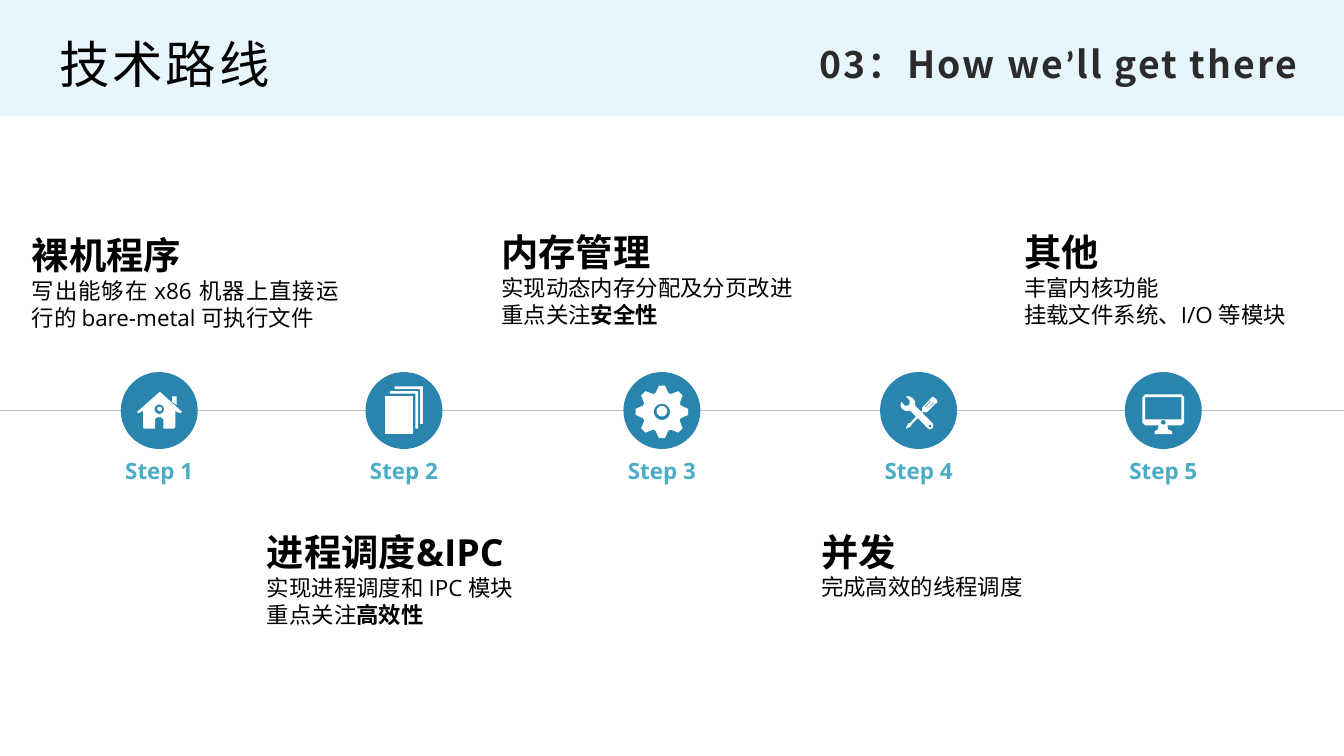
import math

import pptx
import pptx.dml.color
import pptx.enum.shapes
import pptx.enum.text
import pptx.oxml.ns
import pptx.util
from lxml import etree

Cm, Pt = pptx.util.Cm, pptx.util.Pt
qn = pptx.oxml.ns.qn
SHAPE = pptx.enum.shapes.MSO_SHAPE
ALIGN = pptx.enum.text.PP_ALIGN

COLORS = {"band": "E0F2FD", "head": "2B2B2B", "text": "000000", "line": "BFBFBF",
          "disc": "2985AE", "step": "4BACC6", "icon": "FFFFFF"}
SANS, SC, JP = "Open Sans", "Noto Sans CJK SC", "Noto Sans CJK JP"

# Content: a paragraph is a list of (text, overrides) runs
TITLE = [[("技术路线", {})]]
HEADING = [[("03：How we", {}), ("’", {"font": "Calibri"}), ("ll get there ", {})]]

# Steps: centre of the disc, place of the note (left, top, width), heading, body, alignment
STEPS = [
    (6.02, (1.07, 8.71, 11.86), "裸机程序",
     [[("写出能够在 x86 机器上直接运行的 bare-metal 可执行文件", {})]], ALIGN.JUSTIFY),
    (15.27, (9.96, 19.94, 12.04), "进程调度&IPC",
     [[("实现进程调度和 IPC 模块", {})],
      [("重点关注", {}), ("高效性", {"bold": True})]], ALIGN.JUSTIFY),
    (25.02, (18.82, 8.59, 12.93), "内存管理",
     [[("实现动态内存分配及分页改进", {})],
      [("重点关注", {}), ("安全性", {"bold": True})]], ALIGN.LEFT),
    (34.72, (30.91, 19.91, 10.36), "并发",
     [[("完成高效的线程调度", {})]], ALIGN.LEFT),
    (43.97, (38.58, 8.59, 12.22), "其他",
     [[("丰富内核功能", {})], [("挂载文件系统、I/O 等模块", {})]], ALIGN.LEFT),
]
AXIS_Y, DISC = 15.52, 2.91


# Icon outlines, in hundredths of an inch from the disc centre
def ring(x, y, radius, n=32):
    return [(x + radius * math.cos(2 * math.pi * i / n),
             y + radius * math.sin(2 * math.pi * i / n)) for i in range(n)]


def gear(y, teeth=8):
    points = []
    for i in range(teeth):
        c, d = math.cos(2 * math.pi * i / teeth), math.sin(2 * math.pi * i / teeth)
        for u, v in ((28, -9.5), (39, -4.5), (39, 4.5), (28, 9.5)):
            points.append((u * c - v * d, y + u * d + v * c))
    return points


def page_edge(shift):
    edge = [(-14, -36), (-14, -32), (24, -32), (24, 20), (28, 20), (28, -36)]
    return [(x - shift, y + shift) for x, y in edge]


HOUSE = [(1, -28), (-33, 2), (-31, 4), (-27, 2), (-24, 0), (-24, 25), (-23, 27), (-6, 27),
         (-6, 13), (-4, 10), (3, 10), (6, 13), (6, 27), (22, 27), (24, 24), (24, 0),
         (26, 2), (31, 4), (34, 2)]
CHIMNEY = [(26, -8), (26, -21), (19, -21), (19, -13)]
PAGE = [(-28, -22), (-28, 35), (14, 35), (14, -22)]
TOOLS = [(28, -15), (23, -20), (20, -20), (18, -18), (6, -5), (5, -2), (6, -1), (4, 2),
         (-5, -7), (-5, -13), (-8, -18), (-13, -21), (-19, -21), (-13, -15), (-14, -8),
         (-20, -7), (-26, -13), (-27, -8), (-24, -2), (-18, 1), (-13, 0), (-4, 9),
         (-12, 18), (-15, 19), (-19, 26), (-18, 27), (-11, 23), (-10, 20), (-1, 11),
         (13, 26), (17, 28), (21, 26), (22, 22), (21, 19), (6, 4), (8, 1), (10, 3),
         (13, 2), (26, -11), (28, -12)]
GROOVES = [[(10, -5), (9, -6), (18, -15), (19, -14)],
           [(13, -2), (12, -2), (22, -12), (23, -11)]]
MONITOR = [(-27, -24), (-31, -20), (-31, 18), (-27, 22), (-7, 22), (-8, 28), (-13, 31),
           (-13, 35), (13, 35), (13, 31), (7, 28), (6, 22), (27, 22), (31, 18),
           (31, -20), (27, -24)]
SCREEN = [(-27, 13), (-27, -20), (27, -20), (27, 13)]

# Each icon: freeforms (outline, then holes) and dots (x, y, radius)
ICONS = [
    ([[HOUSE, ring(0, -2, 7)], [CHIMNEY]], [(0.5, -2.5, 3.5)]),
    ([[page_edge(7)], [page_edge(0)], [PAGE]], []),
    ([[gear(2), ring(0, 2, 12)]], [(0, 1, 8)]),
    ([[TOOLS, ring(17, 23, 2)] + GROOVES], []),
    ([[MONITOR, SCREEN, ring(0, 17.5, 3.5)]], []),
]
UNIT = Cm(2.54) / 100


def rgb(name):
    return pptx.dml.color.RGBColor.from_string(COLORS[name])


def paint(sp, color):
    sp.shadow.inherit = False
    sp.fill.solid()
    sp.fill.fore_color.rgb = rgb(color)
    sp.line.fill.background()
    return sp


def add_run(p, text, size, color, font=SANS, bold=False, spacing=0):
    r = p.add_run()
    r.text = text
    r.font.size, r.font.bold, r.font.name = Pt(size), bold, font
    r.font.color.rgb = rgb(color)
    rPr = r.font._element
    etree.SubElement(rPr, qn("a:ea")).set("typeface", SC if font == SANS else font)
    if spacing:
        rPr.set("spc", str(round(spacing * 100)))


def add_text(s, paragraphs, left, top, width, height, align=ALIGN.LEFT, inset=(0.13, 0.08),
             **style):
    tf = s.shapes.add_textbox(Cm(left), Cm(top), Cm(width), Cm(height)).text_frame
    tf.word_wrap = True
    tf.auto_size = pptx.enum.text.MSO_AUTO_SIZE.SHAPE_TO_FIT_TEXT
    tf.margin_left = tf.margin_right = Cm(inset[0])
    tf.margin_top = tf.margin_bottom = Cm(inset[1])
    for i, runs in enumerate(paragraphs):
        p = tf.add_paragraph() if i else tf.paragraphs[0]
        p.alignment = align
        for text, extra in runs:
            add_run(p, text, **{**style, **extra})


def add_icon(s, freeforms, dots, cx, cy):
    grouped = len(freeforms) + len(dots) > 1
    shapes = s.shapes.add_group_shape().shapes if grouped else s.shapes
    for contours in freeforms:
        fb = None
        for contour in contours:
            # Tenfold coordinates keep small curves smooth, as points become integers
            start, *rest = [(x * 10, y * 10) for x, y in contour]
            if fb is None:
                fb = shapes.build_freeform(*start, scale=UNIT / 10)
            else:
                fb.move_to(*start)
            fb.add_line_segments(rest, close=True)
        paint(fb.convert_to_shape(Cm(cx), Cm(cy)), "icon")
    for x, y, radius in dots:
        box = (Cm(cx) + (x - radius) * UNIT, Cm(cy) + (y - radius) * UNIT,
               2 * radius * UNIT, 2 * radius * UNIT)
        paint(shapes.add_shape(SHAPE.OVAL, *map(round, box)), "icon")


def main():
    prs = pptx.Presentation()
    prs.slide_width, prs.slide_height = Cm(50.8), Cm(28.58)
    s = prs.slides.add_slide(prs.slide_layouts[6])

    # Header band, slightly transparent
    band = paint(s.shapes.add_shape(SHAPE.RECTANGLE, Cm(-3.68), Cm(-0.58), Cm(55.55), Cm(4.98)),
                 "band")
    fill_color = band._element.spPr.find(qn("a:solidFill"))[0]
    etree.SubElement(fill_color, qn("a:alpha")).set("val", "76000")
    add_text(s, HEADING, 23.29, 1.57, 26.14, 1.7, align=ALIGN.RIGHT, inset=(0, 0),
             size=40, color="head", font=SC, bold=True, spacing=2.2)
    add_text(s, TITLE, 2.24, 1.27, 14.17, 2.31, inset=(0, 0),
             size=54, color="text", font=JP, spacing=3.2)

    # Timeline axis
    axis = s.shapes.add_connector(pptx.enum.shapes.MSO_CONNECTOR.STRAIGHT,
                                  0, Cm(AXIS_Y), prs.slide_width, Cm(AXIS_Y))
    axis.line.color.rgb, axis.line.width = rgb("line"), Pt(1.5)
    etree.SubElement(axis._element.spPr, qn("a:effectLst"))

    # Steps: disc, icon, label and note
    for i, ((cx, place, head, body, align), icon) in enumerate(zip(STEPS, ICONS), 1):
        paint(s.shapes.add_shape(SHAPE.OVAL, Cm(cx - DISC / 2), Cm(AXIS_Y - DISC / 2),
                                 Cm(DISC), Cm(DISC)), "disc")
        add_icon(s, *icon, cx, AXIS_Y)
        add_text(s, [[(f"Step {i}", {})]], cx - 3.75, 17.2, 7.5, 1.14, align=ALIGN.CENTER,
                 size=24, color="step", bold=True)
        add_text(s, [[(head, {"size": 40, "bold": True})]] + body, *place, 3.89, align=align,
                 size=24, color="text")

    prs.save("out.pptx")


if __name__ == "__main__":
    main()
